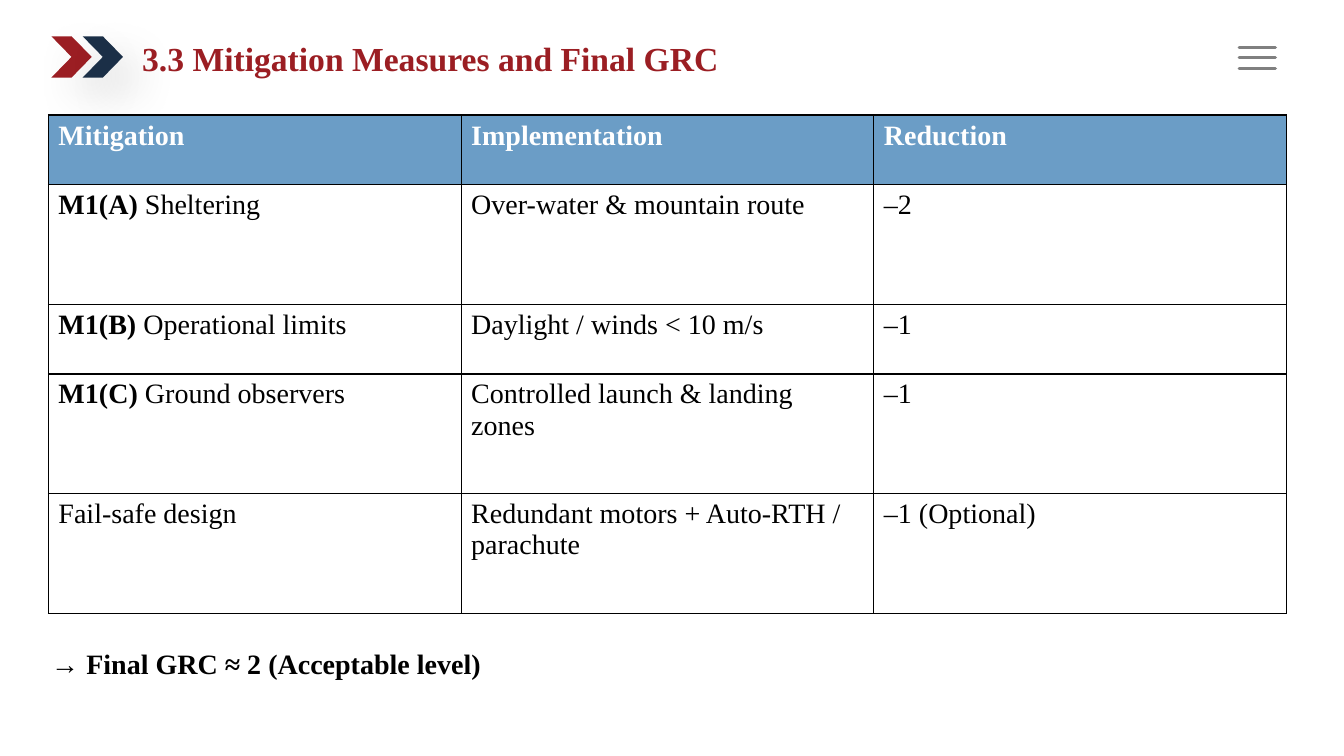
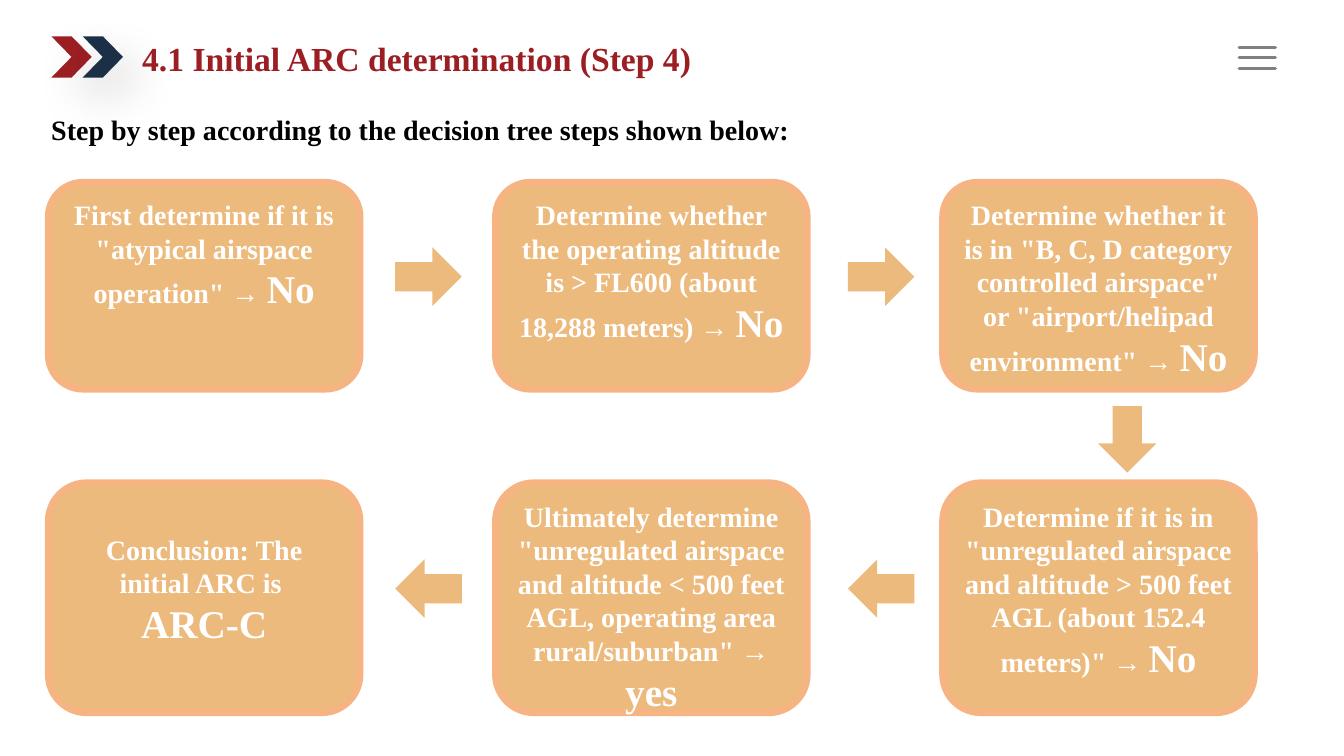
import pptx
import pptx.dml.color
import pptx.enum.shapes
import pptx.enum.text
import pptx.oxml
import pptx.oxml.ns
import pptx.util

Inches = pptx.util.Inches
Shape = pptx.enum.shapes.MSO_SHAPE
Anchor = pptx.enum.text.MSO_ANCHOR
Align = pptx.enum.text.PP_ALIGN

# Shared look
WIDTH, HEIGHT = 13.33, 7.5
MARGIN = 0.48
FONT = "Times New Roman"
RED, NAVY, GREY = "9B1E23", "1B2F47", "808080"
BLUE, SAND, PEACH = "6B9DC6", "EDBA7D", "F5B482"
BLACK, WHITE = "000000", "FFFFFF"
BODY_SIZE, ANSWER_SIZE, TITLE_SIZE = 20, 28, 24

# Flow grid: three columns, two rows given as (top, height)
BOX_WIDTH = 3.09
LAST_COLUMN = 9.35
COLUMN_PITCH = (LAST_COLUMN - MARGIN) / 2
FLOW_ROWS = [(1.81, 2.05), (4.79, 2.28)]
ARROW_WIDTH, ARROW_HEIGHT = 0.66, 0.58
ARROW_COLUMNS = [3.92, 8.41]
ARROW_LIFT = 0.09


def color(hex_string):
    return pptx.dml.color.RGBColor.from_string(hex_string)


def box_of(left, top, width, height):
    return [Inches(value) for value in (left, top, width, height)]


def xml(markup):
    """Parse one drawing element, adding the namespace to its first tag."""
    name = markup[1:].split(maxsplit=1)[0].rstrip("/>")
    namespace = pptx.oxml.ns.nsdecls("a")
    return pptx.oxml.parse_xml(markup.replace(name, f"{name} {namespace}", 1))


def write(paragraph, text, size=BODY_SIZE, fill=BLACK, bold=False,
          align=None, spacing=None):
    """Append one formatted run to a paragraph."""
    run = paragraph.add_run()
    run.text = text
    run.font.name = FONT
    run.font.size = pptx.util.Pt(size)
    run.font.bold = bold
    run.font.color.rgb = color(fill)
    if align is not None:
        paragraph.alignment = align
    if spacing is not None:
        paragraph.line_spacing = spacing


def add_shape(shapes, kind, box, fill, line=None, line_width=0):
    shape = shapes.add_shape(kind, *box_of(*box))
    shape.shadow.inherit = False
    shape.fill.solid()
    shape.fill.fore_color.rgb = color(fill)
    if line:
        shape.line.color.rgb = color(line)
        shape.line.width = pptx.util.Pt(line_width)
    else:
        shape.line.fill.background()
    return shape


def add_text_box(slide, box, runs, wrap=True):
    frame = slide.shapes.add_textbox(*box_of(*box)).text_frame
    frame.word_wrap = wrap
    for text, bold in runs:
        write(frame.paragraphs[0], text, bold=bold)


def add_title(slide, text):
    frame = slide.shapes.title.text_frame
    frame.vertical_anchor = Anchor.MIDDLE
    frame.word_wrap = True
    frame.auto_size = pptx.enum.text.MSO_AUTO_SIZE.NONE
    write(frame.paragraphs[0], text, size=TITLE_SIZE, fill=RED, bold=True,
          align=Align.LEFT, spacing=0.9)


def add_chevrons(slide):
    group = slide.shapes.add_group_shape()
    for left, fill in ((0.51, RED), (0.82, NAVY)):
        chevron = add_shape(group.shapes, Shape.CHEVRON, (left, 0.36, 0.4, 0.41), fill)
        blur, distance = pptx.util.Pt(32), pptx.util.Pt(19)
        chevron.element.spPr.find(pptx.oxml.ns.qn("a:effectLst")).append(xml(
            f'<a:outerShdw blurRad="{blur}" dist="{distance}" dir="2700000" '
            f'algn="tl" rotWithShape="0"><a:srgbClr val="{BLACK}">'
            '<a:alpha val="14000"/></a:srgbClr></a:outerShdw>'))
    return group


def add_menu_icon(slide):
    group = slide.shapes.add_group_shape()
    for top in (0.47, 0.57, 0.68):
        line = group.shapes.add_connector(
            pptx.enum.shapes.MSO_CONNECTOR.STRAIGHT,
            *box_of(12.29, top, 12.65, top))
        line.line.color.rgb = color(GREY)
        line.line.width = pptx.util.Pt(2.25)
        line.element.spPr.find(pptx.oxml.ns.qn("a:ln")).set("cap", "rnd")
        line.element.spPr.append(xml("<a:effectLst/>"))
    return group


def furnish_layout(layout, slide):
    """Place the title and move the shared ornaments into the layout."""
    for placeholder in list(layout.placeholders):
        if placeholder.placeholder_format.type != pptx.enum.shapes.PP_PLACEHOLDER.TITLE:
            placeholder.element.getparent().remove(placeholder.element)
            continue
        (placeholder.left, placeholder.top,
         placeholder.width, placeholder.height) = box_of(1.31, 0.22, 8.14, 0.77)
    for group in (add_chevrons(slide), add_menu_icon(slide)):
        layout.shapes.element.append(group.element)


def format_cell(cell, fill):
    properties = cell._tc.get_or_add_tcPr()
    for side in "LRTB":
        properties.append(xml(
            f'<a:ln{side} w="{pptx.util.Pt(1)}"><a:solidFill>'
            f'<a:srgbClr val="{BLACK}"/></a:solidFill></a:ln{side}>'))
    cell.fill.solid()
    cell.fill.fore_color.rgb = color(fill)


def add_grid_table(slide, top, width, row_heights, rows):
    """Add a table; a cell is a string or a (bold text, plain text) pair."""
    count = len(rows[0])
    table = slide.shapes.add_table(
        len(rows), count, *box_of(MARGIN, top, width, sum(row_heights))).table
    table.horz_banding = False
    for column in table.columns:
        column.width = Inches(width / count)
    for row_index, (height, row) in enumerate(zip(row_heights, rows)):
        table.rows[row_index].height = Inches(height)
        header = row_index == 0
        for column_index, content in enumerate(row):
            cell = table.cell(row_index, column_index)
            format_cell(cell, BLUE if header else WHITE)
            paragraph = cell.text_frame.paragraphs[0]
            lead, plain = ("", content) if isinstance(content, str) else content
            if lead:
                write(paragraph, lead, bold=True)
            write(paragraph, plain, bold=header, fill=WHITE if header else BLACK)


def add_step(slide, column, row, question, answer, conclusion=False):
    top, height = FLOW_ROWS[row]
    box = (MARGIN + column * COLUMN_PITCH, top, BOX_WIDTH, height)
    shape = add_shape(slide.shapes, Shape.ROUNDED_RECTANGLE, box, SAND, PEACH, 5)
    frame = shape.text_frame
    frame.word_wrap = True
    frame.vertical_anchor = Anchor.TOP
    style = dict(fill=WHITE, bold=True, align=Align.CENTER)
    write(frame.paragraphs[0], question, **style)
    if conclusion:
        frame.margin_top = Inches(0.38)
        write(frame.add_paragraph(), answer, size=ANSWER_SIZE, **style)
    else:
        write(frame.paragraphs[0], answer, size=ANSWER_SIZE, **style)


def add_arrow(slide, left, top, rotation=0):
    arrow = add_shape(slide.shapes, Shape.RIGHT_ARROW,
                      (left, top, ARROW_WIDTH, ARROW_HEIGHT), SAND)
    arrow.rotation = rotation


def build_mitigation(slide):
    add_title(slide, "3.3 Mitigation Measures and Final GRC")
    short, tall = 0.69, 1.19
    add_grid_table(slide, 1.14, 12.28, [short, tall, short, tall, tall], [
        ["Mitigation", "Implementation", "Reduction"],
        [("M1(A)", " Sheltering"), "Over-water & mountain route", "–2"],
        [("M1(B)", " Operational limits"), "Daylight / winds < 10 m/s", "–1"],
        [("M1(C)", " Ground observers"), "Controlled launch & landing zones", "–1"],
        ["Fail-safe design", "Redundant motors + Auto-RTH / parachute", "–1 (Optional)"],
    ])
    add_text_box(slide, (0.41, 6.36, 4.5, 0.44),
                 [("→ ", False), ("Final GRC ≈ 2 (Acceptable level)", True)], wrap=False)


def build_decision_flow(slide):
    add_title(slide, "4.1 Initial ARC determination (Step 4)")
    add_text_box(slide, (0.41, 1.07, 8.06, 0.44),
                 [("Step by step according to the decision tree steps shown below:", True)])

    # Steps run right along the first row and back along the second
    add_step(slide, 0, 0, 'First determine if it is "atypical airspace operation" → ', "No")
    add_step(slide, 1, 0, "Determine whether the operating altitude is > FL600 "
             "(about 18,288 meters) → ", "No")
    add_step(slide, 2, 0, 'Determine whether it is in "B, C, D category controlled '
             'airspace" or "airport/helipad environment" → ', "No")
    add_step(slide, 2, 1, 'Determine if it is in "unregulated airspace and altitude '
             '> 500 feet AGL (about 152.4 meters)" → ', "No")
    add_step(slide, 1, 1, 'Ultimately determine "unregulated airspace and altitude '
             '< 500 feet AGL, operating area rural/suburban" → ', "yes")
    add_step(slide, 0, 1, "Conclusion: The initial ARC is ", "ARC-C", conclusion=True)

    # Arrows between the steps
    for (top, height), rotation in zip(FLOW_ROWS, (0, 180)):
        for left in ARROW_COLUMNS:
            add_arrow(slide, left, top + (height - ARROW_HEIGHT) / 2 - ARROW_LIFT, rotation)
    add_arrow(slide, 10.85, 4.07, 90)


def main():
    presentation = pptx.Presentation()
    presentation.slide_width = Inches(WIDTH)
    presentation.slide_height = Inches(HEIGHT)
    layout = presentation.slide_layouts.get_by_name("Title Only")
    slides = [presentation.slides.add_slide(layout) for _ in range(2)]
    furnish_layout(layout, slides[0])
    build_mitigation(slides[0])
    build_decision_flow(slides[1])
    presentation.save("out.pptx")


if __name__ == "__main__":
    main()
